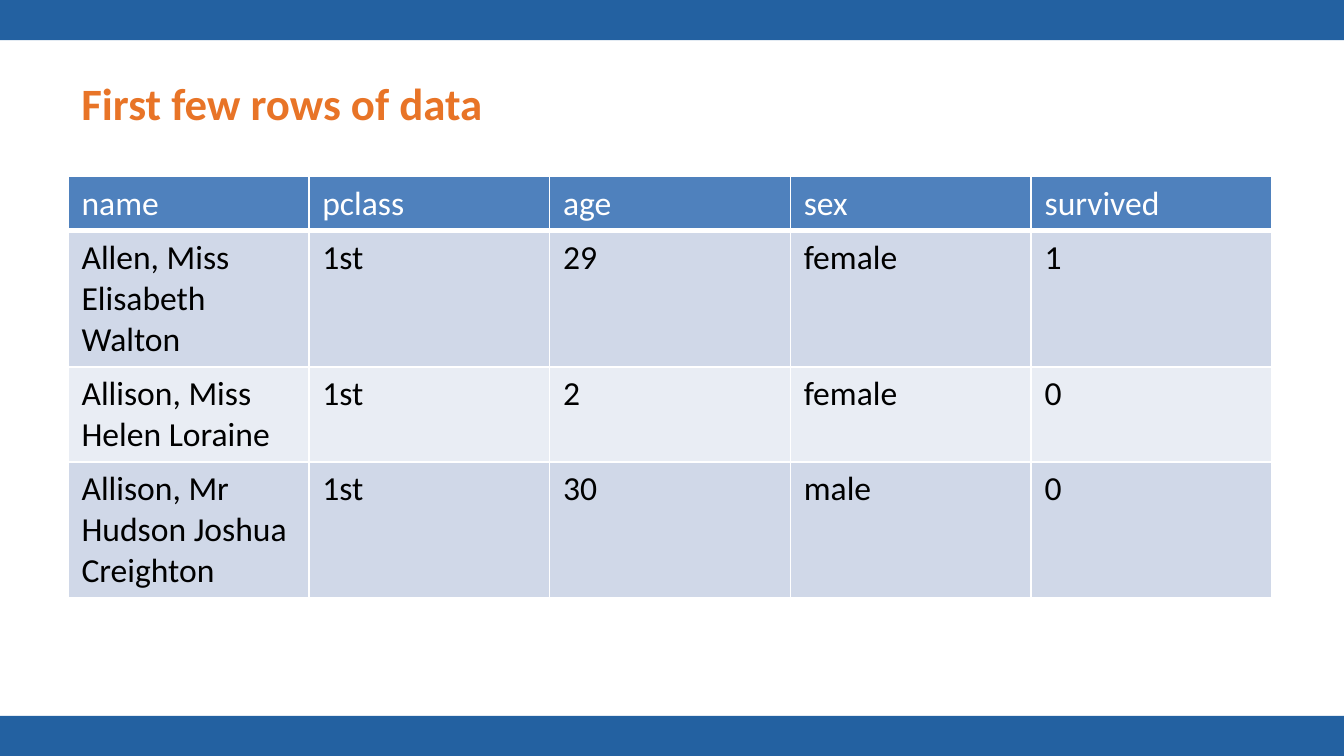
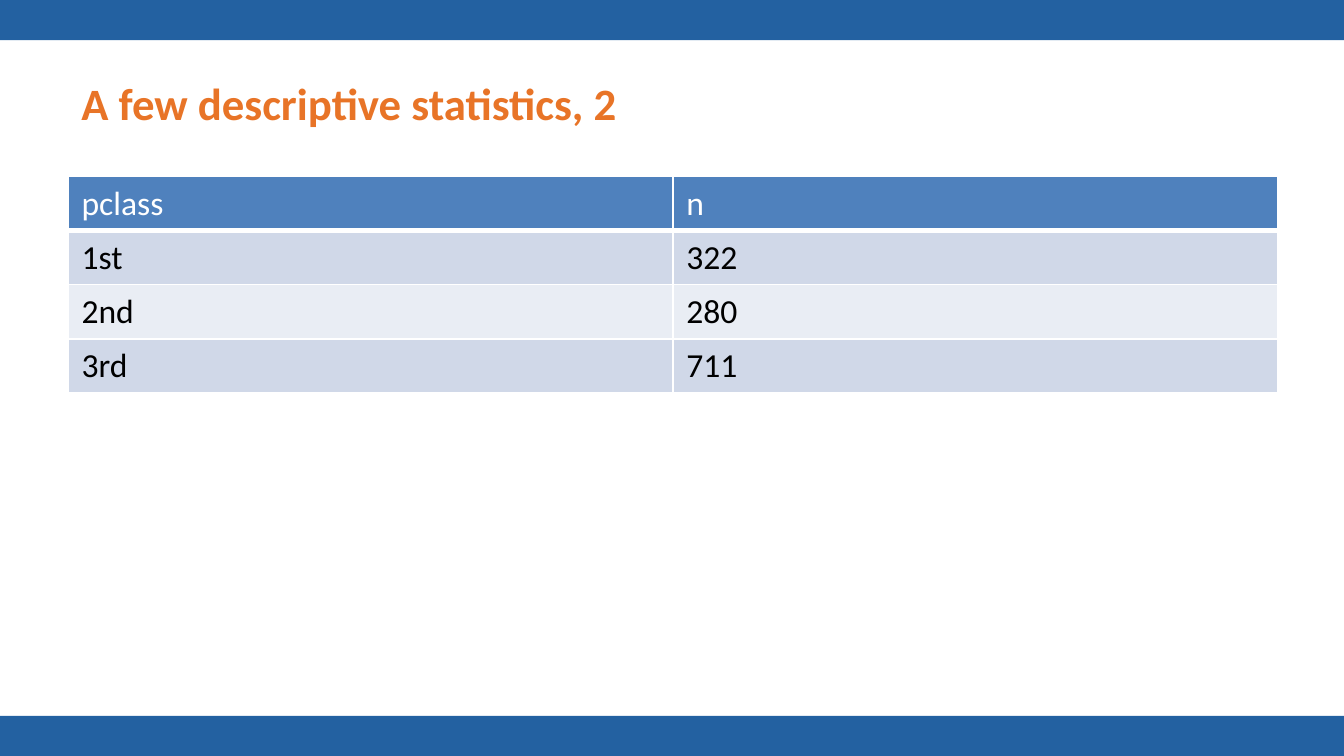
"""Build two slides that show passenger data in tables."""
from dataclasses import dataclass
from typing import Any

from lxml.etree import SubElement
from pptx import Presentation
from pptx.dml.color import RGBColor
from pptx.enum.shapes import MSO_SHAPE
from pptx.enum.text import MSO_ANCHOR
from pptx.oxml.ns import qn
from pptx.slide import Slide
from pptx.util import Pt

EMU_PER_PX = 6350
PAGE_WIDTH, PAGE_HEIGHT = 1440, 810
BAND_HEIGHT = 43
MARGIN = 73
TABLE_TOP = 189
LINE_HEIGHT, CELL_PADDING = 44, 14

BAND_BLUE = "2361A1"
TITLE_ORANGE = "E87427"
HEADER_BLUE = "4F81BD"
ROW_FILLS = ("D0D8E8", "E9EDF4")
WHITE, BLACK = "FFFFFF", "000000"

TITLE_FONT = {"name": "Calibri", "size": Pt(24), "bold": True}
CELL_FONT = {"name": "Calibri", "size": Pt(18), "bold": False}


@dataclass(frozen=True)
class Row:
    cells: tuple[str, ...]
    lines: int = 1


@dataclass(frozen=True)
class TablePage:
    title: str
    column_width: int
    rows: tuple[Row, ...]


PAGES = (
    TablePage("First few rows of data", 258, (
        Row(("name", "pclass", "age", "sex", "survived")),
        Row(("Allen, Miss Elisabeth Walton", "1st", "29", "female", "1"), 3),
        Row(("Allison, Miss Helen Loraine", "1st", "2", "female", "0"), 2),
        Row(("Allison, Mr Hudson Joshua Creighton", "1st", "30", "male", "0"), 3),
    )),
    TablePage("A few descriptive statistics, 2", 648, (
        Row(("pclass", "n")),
        Row(("1st", "322")),
        Row(("2nd", "280")),
        Row(("3rd", "711")),
    )),
)


def px(length: int) -> int:
    """Turn pixels into EMU."""
    return length * EMU_PER_PX


def color(code: str) -> RGBColor:
    """Turn a hex string into a colour."""
    return RGBColor.from_string(code)


def write(frame: Any, text: str, font: dict[str, Any], code: str) -> None:
    """Write one formatted span into a text frame."""
    span = frame.paragraphs[0].add_run()
    span.text = text
    for name, value in font.items():
        setattr(span.font, name, value)
    span.font.color.rgb = color(code)


def add_band(page: Slide, top: int) -> None:
    """Draw a band across the page."""
    band = page.shapes.add_shape(
        MSO_SHAPE.RECTANGLE, 0, px(top), px(PAGE_WIDTH), px(BAND_HEIGHT))
    band.shadow.inherit = False
    band.fill.solid()
    band.fill.fore_color.rgb = color(BAND_BLUE)
    band.line.fill.background()


def add_title(page: Slide, text: str) -> None:
    """Place the title below the top band."""
    box = page.shapes.add_textbox(
        px(MARGIN), px(42), px(PAGE_WIDTH - 2 * MARGIN), px(135))
    box.text_frame.word_wrap = True
    box.text_frame.vertical_anchor = MSO_ANCHOR.MIDDLE
    write(box.text_frame, text, TITLE_FONT, TITLE_ORANGE)


def add_borders(cell: Any, bottom_points: int) -> None:
    """Give a cell white borders."""
    properties = cell._tc.get_or_add_tcPr()
    for side in "LRTB":
        points = bottom_points if side == "B" else 1
        line = SubElement(properties, qn(f"a:ln{side}"), w=str(Pt(points)))
        fill = SubElement(line, qn("a:solidFill"))
        SubElement(fill, qn("a:srgbClr"), val=WHITE)


def add_data_table(page: Slide, content: TablePage) -> None:
    """Draw a table with a header and alternating row fills."""
    heights = [CELL_PADDING + LINE_HEIGHT * row.lines for row in content.rows]
    column_count = len(content.rows[0].cells)
    table = page.shapes.add_table(
        len(content.rows), column_count, px(MARGIN), px(TABLE_TOP),
        px(content.column_width * column_count), px(sum(heights))).table
    for column in table.columns:
        column.width = px(content.column_width)
    for index, row in enumerate(content.rows):
        table.rows[index].height = px(heights[index])
        is_header = index == 0
        fill = HEADER_BLUE if is_header else ROW_FILLS[(index - 1) % 2]
        for position, text in enumerate(row.cells):
            cell = table.cell(index, position)
            add_borders(cell, 3 if is_header else 1)
            cell.fill.solid()
            cell.fill.fore_color.rgb = color(fill)
            write(cell.text_frame, text, CELL_FONT, WHITE if is_header else BLACK)


def main() -> None:
    """Build and save the deck."""
    deck = Presentation()
    deck.slide_width, deck.slide_height = px(PAGE_WIDTH), px(PAGE_HEIGHT)
    for content in PAGES:
        page = deck.slides.add_slide(deck.slide_layouts[6])
        for top in (0, PAGE_HEIGHT - BAND_HEIGHT):
            add_band(page, top)
        add_title(page, content.title)
        add_data_table(page, content)
    deck.save("out.pptx")


if __name__ == "__main__":
    main()
